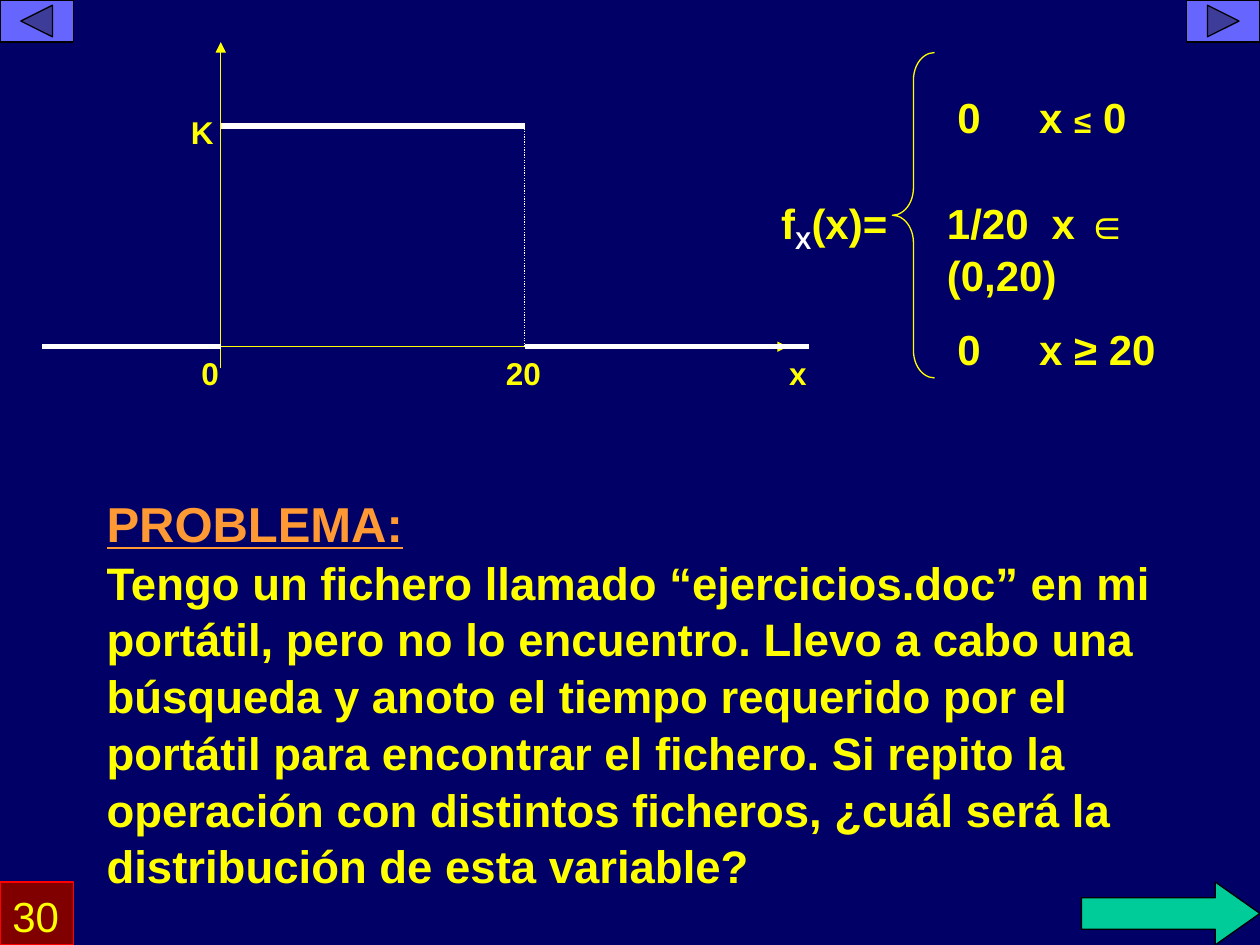
from lxml import etree
from pptx import Presentation
from pptx import util as u
from pptx.dml.color import RGBColor
from pptx.enum import dml, shapes, text
from pptx.oxml import ns

YELLOW, WHITE, BLACK = "FFFF00", "FFFFFF", "000000"
SHAPE = shapes.MSO_SHAPE
ALIGN = text.PP_ALIGN


def rgb(code):
    return RGBColor.from_string(code)


def add_xml(parent, tag, **attributes):
    return etree.SubElement(parent, ns.qn(tag), attributes)


def add_run(paragraph, words, size=24, color=YELLOW, bold=True,
            underline=False, baseline=0):
    run = paragraph.add_run()
    run.text = words
    font = run.font
    font.name, font.size = "Arial", u.Pt(size)
    font.bold, font.underline = bold, underline
    font.color.rgb = rgb(color)
    if baseline:
        run._r.get_or_add_rPr().set("baseline", str(baseline * 1000))


def write(frame, paragraphs, align=ALIGN.LEFT, tab=None, left=0.25,
          right=0.25, **style):
    """Fill a frame; each paragraph is a list of (words, run format)."""
    frame.word_wrap = True
    frame.vertical_anchor = text.MSO_ANCHOR.TOP
    frame.margin_left, frame.margin_right = u.Cm(left), u.Cm(right)
    for index, runs in enumerate(paragraphs):
        paragraph = frame.add_paragraph() if index else frame.paragraphs[0]
        paragraph.alignment = align
        paragraph.line_spacing = 1.04
        if tab:
            tabs = add_xml(paragraph._p.get_or_add_pPr(), "a:tabLst")
            add_xml(tabs, "a:tab", pos=str(u.Cm(tab)), algn="l")
        for words, run_style in runs:
            add_run(paragraph, words, **{**style, **run_style})


def add_text(parent, x, y, width, height, paragraphs, **style):
    box = parent.add_textbox(u.Cm(x), u.Cm(y), u.Cm(width), u.Cm(height))
    write(box.text_frame, paragraphs, **style)


def add_line(parent, start, end, color, width=0.75, head=None, tail=None,
             dash=None):
    line = parent.add_connector(shapes.MSO_CONNECTOR.STRAIGHT,
                                *map(u.Cm, start + end))
    line.line.color.rgb = rgb(color)
    line.line.width = u.Pt(width)
    if dash:
        line.line.dash_style = dash
    for tag, arrow in (("a:headEnd", head), ("a:tailEnd", tail)):
        if arrow:
            add_xml(line.line._get_or_add_ln(), tag, type=arrow)
    add_xml(line._element.spPr, "a:effectLst")


def add_preset(parent, kind, x, y, width, height, fill, outline):
    shape = parent.add_shape(kind, u.Cm(x), u.Cm(y), u.Cm(width), u.Cm(height))
    shape.shadow.inherit = False
    if fill:
        shape.fill.solid()
        shape.fill.fore_color.rgb = rgb(fill)
    else:
        shape.fill.background()
    shape.line.color.rgb = rgb(outline)
    shape.line.width = u.Pt(0.75)
    return shape


def draw_density(parent):
    left, origin, limit, end = 0.85, 4.45, 10.58, 16.3
    level, base = 2.54, 6.99

    # Axes and their labels
    axes = parent.add_group_shape().shapes
    add_line(axes, (origin, 0.85), (origin, 7.41), YELLOW, head="triangle")
    add_line(axes, (left, base), (15.88, base), YELLOW, tail="triangle")
    for label, x, y, align in (("20", 9.95, base, ALIGN.LEFT),
                               ("0", 3.81, base, ALIGN.LEFT),
                               ("K", 3.6, 2.12, ALIGN.LEFT),
                               ("x", 15.03, base, ALIGN.RIGHT)):
        add_text(axes, x, y, 1.48, 1.02, [[(label, {})]], size=18, align=align)

    # Uniform density
    density = parent.add_group_shape().shapes
    add_line(density, (limit, level), (limit, base), WHITE,
             dash=dml.MSO_LINE.ROUND_DOT)
    for start, stop, y in ((origin, limit, level), (limit, end, base),
                           (left, origin, base)):
        add_line(density, (start, y), (stop, y), WHITE, width=3)


def draw_formula(parent):
    formula = parent.add_group_shape().shapes
    add_text(formula, 18.84, 3.81, 6.56, 1.27,
             [[("1/20\tx ∈ (0,20)", {})]], tab=2.11, right=1.3)
    add_text(formula, 15.03, 3.81, 3.18, 1.42,
             [[("f", {}), ("X", {"color": WHITE, "baseline": -25}),
               ("(x)=", {})]], left=0.72, right=0)
    add_preset(formula, SHAPE.LEFT_BRACE, 17.99, 1.06, 0.85, 6.56,
               None, YELLOW).adjustments[0] = 0.65
    add_text(formula, 19.05, 1.69, 4.23, 2.29,
             [[("0\tx ", {}), ("≤", {"size": 18}), (" 0", {})]], tab=1.65)
    add_text(formula, 19.05, 6.35, 5.29, 1.27,
             [[("0\tx ≥ 20", {})]], tab=1.65)


def draw_navigation(parent):
    next_arrow = add_preset(parent, SHAPE.RIGHT_ARROW, 21.8, 17.78, 3.6, 1.27,
                            "00CC99", BLACK)
    next_arrow.adjustments[1] = 0.71
    for kind, x in ((SHAPE.ACTION_BUTTON_BACK_OR_PREVIOUS, 0),
                    (SHAPE.ACTION_BUTTON_FORWARD_OR_NEXT, 23.92)):
        add_preset(parent, kind, x, 0, 1.48, 0.85, "6666FF", BLACK)
    page_number = add_preset(parent, SHAPE.RECTANGLE, 0, 17.78, 1.48, 1.27,
                             "800000", "FF0000")
    write(page_number.text_frame, [[("30", {})]], bold=False, right=0)


def draw_problem(parent):
    question = (
        "Tengo un fichero llamado “ejercicios.doc” en mi portátil, pero no lo "
        "encuentro. Llevo a cabo una búsqueda y anoto el tiempo requerido por "
        "el portátil para encontrar el fichero. Si repito la operación con "
        "distintos ficheros, ¿cuál será la distribución de esta variable?")
    heading = {"size": 28, "color": "FF9933", "underline": True}
    add_text(parent, 1.9, 9.78, 22.23, 8.05,
             [[("PROBLEMA:", heading)], [(question, {})]], size=26)


def main():
    deck = Presentation()
    deck.slide_width, deck.slide_height = u.Cm(25.4), u.Cm(19.05)
    slide = deck.slides.add_slide(deck.slide_layouts[6])
    slide.background.fill.solid()
    slide.background.fill.fore_color.rgb = rgb("000066")
    for draw in (draw_density, draw_formula, draw_navigation, draw_problem):
        draw(slide.shapes)
    deck.save("out.pptx")


if __name__ == "__main__":
    main()
